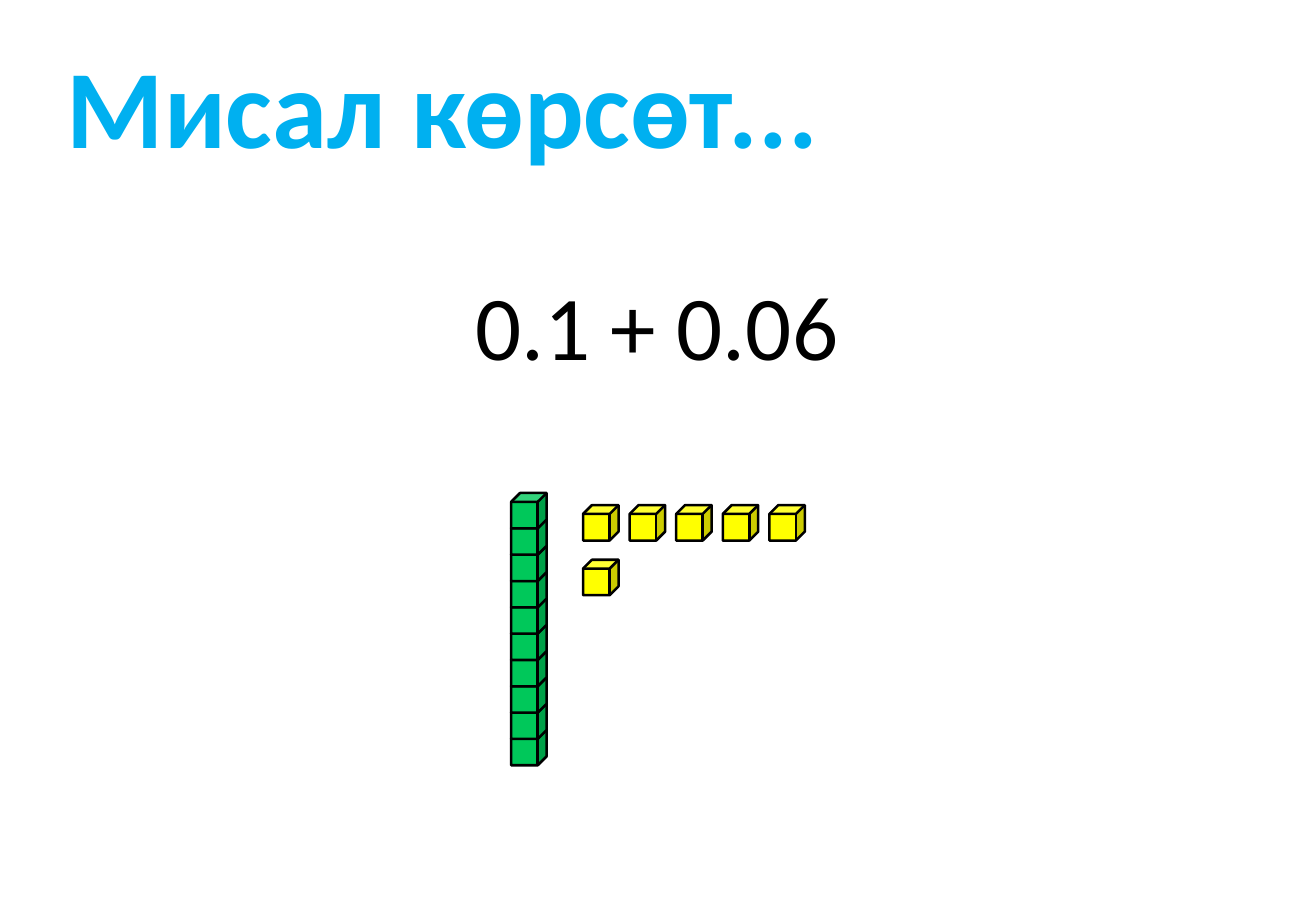
from pptx import Presentation
from pptx.dml.color import RGBColor
from pptx.enum.shapes import MSO_SHAPE as Shape
from pptx.enum.text import MSO_AUTO_SIZE as AutoSize, PP_ALIGN as Align
from pptx.util import Pt

EMU_PER_PX = 7620  # 120 px to the inch

BLACK = RGBColor(0x00, 0x00, 0x00)
SKY = RGBColor(0x00, 0xB0, 0xF0)
GREEN = RGBColor(0x00, 0xC8, 0x5A)
YELLOW = RGBColor(0xFF, 0xFF, 0x00)

FONT = "Calibri"
CUBE = 35
TENTH_PARTS, TENTH_PITCH = 10, 26
HUNDREDTHS, PER_ROW = 6, 5
COLUMN_PITCH, ROW_PITCH = 46, 54


def px(length):
    return length * EMU_PER_PX


def add_text(page, text, left, top, width, height, size, color,
             bold=False, align=Align.LEFT, wrap=True, indent=12):
    box = page.shapes.add_textbox(px(left), px(top), px(width), px(height))
    frame = box.text_frame
    frame.word_wrap = wrap
    frame.auto_size = AutoSize.SHAPE_TO_FIT_TEXT
    frame.margin_left = px(indent)
    frame.text = text
    para = frame.paragraphs[0]
    para.alignment = align
    span = para.runs[0]
    span.font.name = FONT
    span.font.size = Pt(size)
    span.font.bold = bold
    span.font.color.rgb = color


def add_cubes(page, corners, color):
    group = page.shapes.add_group_shape()
    for left, top in corners:
        cube = group.shapes.add_shape(Shape.CUBE, px(left), px(top), px(CUBE), px(CUBE))
        cube.shadow.inherit = False
        cube.fill.solid()
        cube.fill.fore_color.rgb = color
        cube.line.color.rgb = BLACK
        cube.line.width = Pt(1.5)


def main():
    deck = Presentation()
    deck.slide_width, deck.slide_height = px(1300), px(900)
    page = deck.slides.add_slide(deck.slide_layouts[6])

    # Sum
    add_text(page, "0.1 + 0.06", 456, 260, 386, 121, 54, BLACK,
             align=Align.CENTER, wrap=False)

    # One tenth: a rod stacked from the bottom up
    rod = [(505, 721 - part * TENTH_PITCH) for part in range(TENTH_PARTS)]
    add_cubes(page, rod, GREEN)

    # Six hundredths: single cubes in rows of five
    units = [(576 + unit % PER_ROW * COLUMN_PITCH, 499 + unit // PER_ROW * ROW_PITCH)
             for unit in range(HUNDREDTHS)]
    add_cubes(page, units, YELLOW)

    # Title
    add_text(page, "Мисал көрсөт...", 29, 31, 905, 145, 66, SKY, bold=True, indent=37)

    deck.save("out.pptx")


if __name__ == "__main__":
    main()
